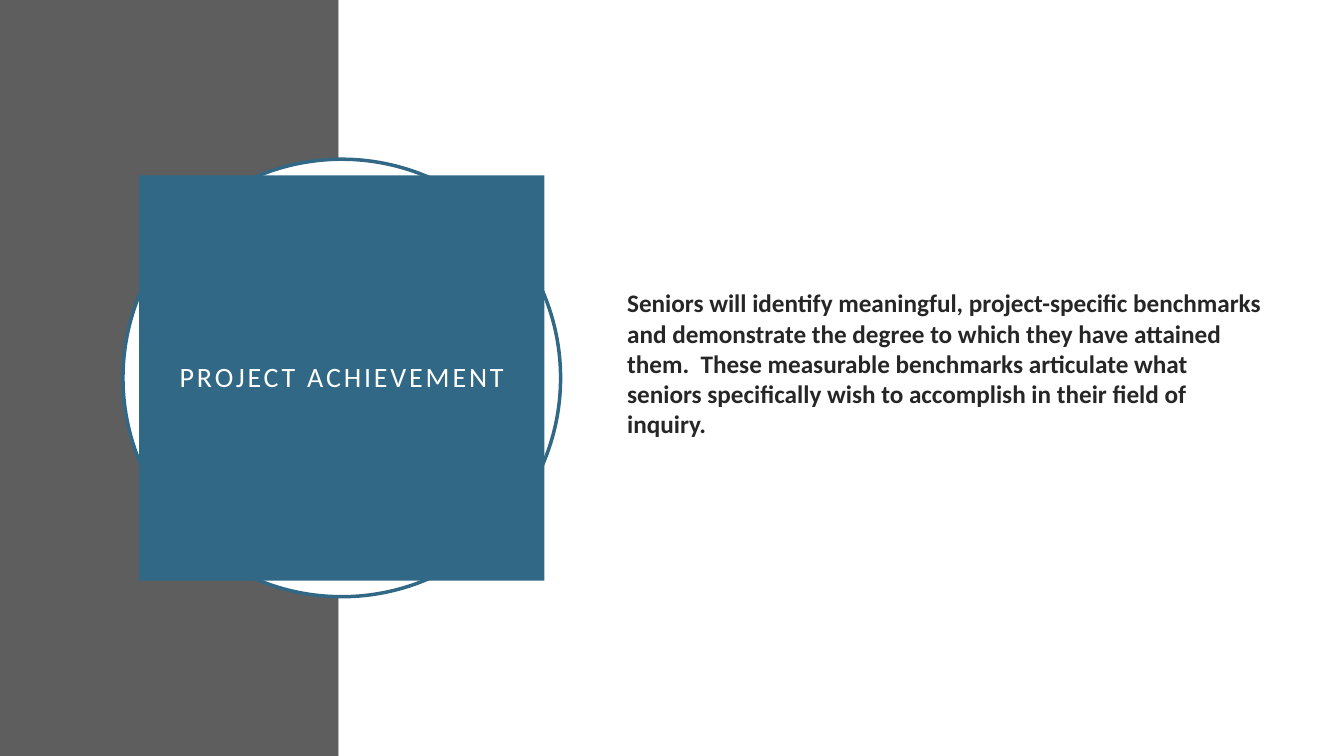
from lxml.etree import SubElement
from pptx import Presentation
from pptx.dml.color import RGBColor
from pptx.enum.shapes import MSO_SHAPE
from pptx.enum.text import MSO_ANCHOR, MSO_AUTO_SIZE, PP_ALIGN
from pptx.oxml.ns import qn
from pptx.util import Inches, Pt

COLORS = {"gray": "5E5E5E", "white": "FFFFFF", "blue": "316886", "ink": "262626"}
SLIDE_WIDTH, SLIDE_HEIGHT = 13.33, 7.5
BAND_WIDTH = 3.36
TITLE_FORMAT = {"size": Pt(20), "name": "Calibri", "bold": False}
BODY_FORMAT = {"size": Pt(18), "name": "Calibri", "bold": True}
BENCHMARKS = (
    "Seniors will identify meaningful, project-specific benchmarks and demonstrate "
    "the degree to which they have attained them.  These measurable benchmarks "
    "articulate what seniors specifically wish to accomplish in their field of inquiry."
)


def place(shape, box):
    """Move a shape to a box of left, top, width and height in inches."""
    for name, length in zip(("left", "top", "width", "height"), box):
        setattr(shape, name, Inches(length))


def add_panel(slide, kind, box, fill, line=None):
    """Add a filled preset shape with an optional outline."""
    shape = slide.shapes.add_shape(kind, *map(Inches, box))
    shape.shadow.inherit = False
    shape.fill.solid()
    shape.fill.fore_color.rgb = RGBColor.from_string(COLORS[fill])
    if line:
        shape.line.color.rgb = RGBColor.from_string(COLORS[line])
        shape.line.width = Pt(2.5)
    else:
        shape.line.fill.background()


def write_text(placeholder, text, box, frame_format, font_format, color):
    """Place a placeholder in front and fill it with one formatted paragraph."""
    placeholder.element.getparent().append(placeholder.element)
    place(placeholder, box)
    frame = placeholder.text_frame
    for name, value in frame_format.items():
        setattr(frame, name, value)
    paragraph = frame.paragraphs[0]
    paragraph.space_before = Pt(0)
    run = paragraph.add_run()
    run.text = text
    for name, value in font_format.items():
        setattr(run.font, name, value)
    run.font.color.rgb = RGBColor.from_string(COLORS[color])
    return paragraph


def add_background(slide, box):
    """Split the box into a gray band and a white area."""
    left, top, width, height = box
    add_panel(slide, MSO_SHAPE.RECTANGLE, (left, top, BAND_WIDTH, height), "gray")
    white_box = (left + BAND_WIDTH, top, width - BAND_WIDTH, height)
    add_panel(slide, MSO_SHAPE.RECTANGLE, white_box, "white")


def add_title_badge(slide, box):
    """Draw a ring in the box with the title square centred on it."""
    left, top, width, height = box
    add_panel(slide, MSO_SHAPE.OVAL, box, "white", "blue")
    inset = 0.16
    square = (left + inset, top + inset, width - 2 * inset, height - 2 * inset)
    title = slide.shapes.title
    title.fill.solid()
    title.fill.fore_color.rgb = RGBColor.from_string(COLORS["blue"])
    frame_format = {
        "word_wrap": True,
        "auto_size": MSO_AUTO_SIZE.NONE,
        "vertical_anchor": MSO_ANCHOR.MIDDLE,
    }
    for side in ("left", "top", "right", "bottom"):
        frame_format[f"margin_{side}"] = Inches(0.2)
    paragraph = write_text(
        title, "PROJECT ACHIEVEMENT", square, frame_format, TITLE_FORMAT, "white"
    )
    paragraph.alignment = PP_ALIGN.CENTER
    paragraph.line_spacing = 0.9
    paragraph.runs[0].font._element.set("spc", "200")


def add_description(slide, box):
    """Write the benchmark description without a bullet in the box."""
    frame_format = {
        "word_wrap": True,
        "auto_size": MSO_AUTO_SIZE.NONE,
        "vertical_anchor": MSO_ANCHOR.MIDDLE,
        "margin_bottom": Inches(0.33),
    }
    paragraph = write_text(
        slide.placeholders[1], BENCHMARKS, box, frame_format, BODY_FORMAT, "ink"
    )
    properties = paragraph._p.get_or_add_pPr()
    for name in ("marL", "indent"):
        properties.set(name, "0")
    SubElement(properties, qn("a:buNone"))


def main():
    """Build the project achievement slide."""
    presentation = Presentation()
    presentation.slide_width = Inches(SLIDE_WIDTH)
    presentation.slide_height = Inches(SLIDE_HEIGHT)
    slide = presentation.slides.add_slide(presentation.slide_layouts[1])
    add_background(slide, (0, 0, SLIDE_WIDTH, SLIDE_HEIGHT))
    add_title_badge(slide, (1.22, 1.58, 4.34, 4.34))
    add_description(slide, (6.12, 1.53, 6.52, 4.43))
    presentation.save("out.pptx")


if __name__ == "__main__":
    main()
